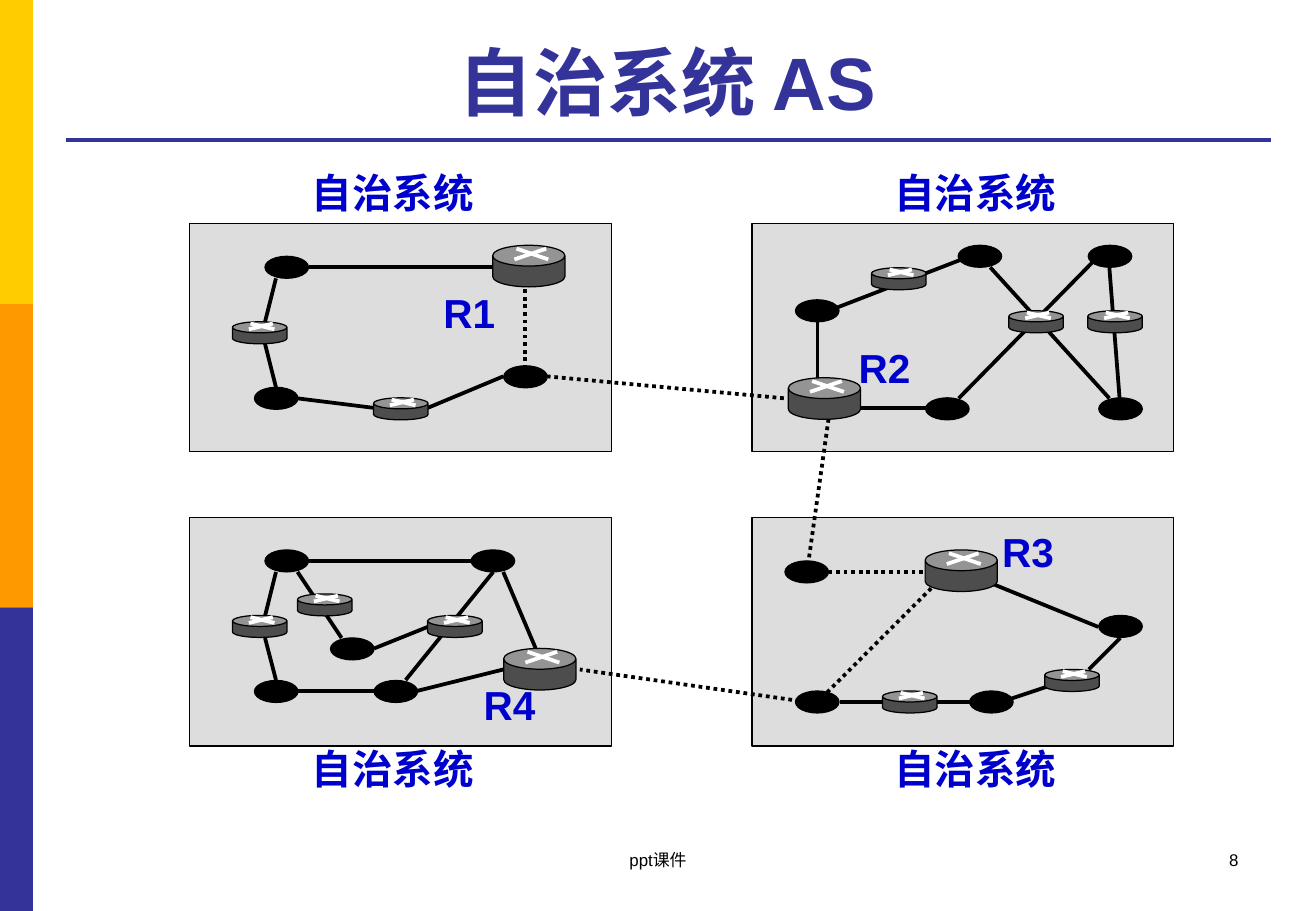
from lxml.etree import SubElement
from pptx import Presentation
from pptx.dml.color import RGBColor
from pptx.enum.dml import MSO_LINE
from pptx.enum.shapes import MSO_CONNECTOR, MSO_SHAPE
from pptx.enum.text import MSO_ANCHOR, PP_ALIGN
from pptx.oxml.ns import qn
from pptx.util import Cm, Pt

COLORS = {
    "yellow": "FFCC00", "orange": "FF9900", "indigo": "333399",
    "system": "DDDDDD", "router": "4D4D4D", "label": "0000CC",
    "black": "000000", "white": "FFFFFF",
}
TEXT_FORMATS = {
    "title": {"size": Pt(44), "bold": True, "name": "Arial"},
    "label": {"size": Pt(24), "bold": True, "name": "Arial"},
    "footer": {"size": Pt(10), "bold": False, "name": "Arial"},
}

presentation = Presentation()
presentation.slide_width, presentation.slide_height = Cm(27.51), Cm(19.05)
slide = presentation.slides.add_slide(presentation.slide_layouts[6])


def add_filled_shape(kind, left, top, width, height, fill, outlined=True):
    shape = slide.shapes.add_shape(kind, Cm(left), Cm(top), Cm(width), Cm(height))
    shape.shadow.inherit = False
    shape.fill.solid()
    shape.fill.fore_color.rgb = RGBColor.from_string(COLORS[fill])
    if outlined:
        shape.line.color.rgb = RGBColor.from_string(COLORS["black"])
        shape.line.width = Pt(0.75)
    else:
        shape.line.fill.background()
    return shape


def add_line(x1, y1, x2, y2, color="black", dash=None):
    connector = slide.shapes.add_connector(
        MSO_CONNECTOR.STRAIGHT, Cm(x1), Cm(y1), Cm(x2), Cm(y2))
    connector.line.color.rgb = RGBColor.from_string(COLORS[color])
    connector.line.width = Pt(2.25)
    if dash:
        connector.line.dash_style = dash
    SubElement(connector._element.spPr, qn("a:effectLst"))


# Side bar and title rule
for index, color in enumerate(["yellow", "orange", "indigo"]):
    add_filled_shape(MSO_SHAPE.RECTANGLE, 0, index * 6.35, 0.69, 6.35, color, outlined=False)
add_line(1.37, 2.92, 26.57, 2.92, "indigo")

# Autonomous systems
for left in (3.96, 15.72):
    for top in (4.67, 10.82):
        add_filled_shape(MSO_SHAPE.RECTANGLE, left, top, 8.82, 4.78, "system")

# Links, one group of rows per system
solid_links = [
    (6.45, 5.59, 10.31, 5.59), (5.77, 5.82, 5.54, 6.73), (5.54, 7.19, 5.77, 8.1),
    (6.22, 8.33, 7.82, 8.53), (8.94, 8.53, 10.52, 7.87),

    (20.7, 5.59, 23.19, 8.33), (20.27, 5.36, 17.32, 6.5), (23.19, 5.59, 23.42, 8.53),
    (17.98, 8.53, 19.58, 8.53), (20.04, 8.33, 22.96, 5.36), (17.09, 6.73, 17.09, 8.1),

    (17.55, 14.68, 20.27, 14.68), (20.93, 14.68, 22.3, 14.22),
    (22.76, 14, 23.42, 13.34), (20.7, 12.19, 22.96, 13.11),

    (6.45, 11.73, 10.31, 11.73), (5.77, 11.96, 5.54, 12.88), (5.54, 13.34, 5.77, 14.22),
    (6.22, 14.45, 7.82, 14.45), (8.71, 14.45, 10.52, 14), (6.22, 11.96, 7.14, 13.34),
    (7.82, 13.56, 8.94, 13.11), (10.31, 11.96, 8.48, 14.22), (10.52, 11.96, 11.2, 13.56),
]
dotted_links = [
    (10.97, 6.05, 10.97, 7.65), (11.43, 7.87, 16.41, 8.33), (17.32, 8.76, 16.87, 11.96),
    (17.32, 11.96, 19.35, 11.96), (19.58, 12.19, 17.09, 14.68), (16.87, 14.68, 12.12, 14),
]
for link in solid_links:
    add_line(*link)
for link in dotted_links:
    add_line(*link, dash=MSO_LINE.ROUND_DOT)

# Networks
networks = [
    (5.54, 5.36), (5.32, 8.1), (10.53, 7.65),
    (16.63, 6.27), (19.35, 8.32), (22.97, 8.32), (20.03, 5.13), (22.75, 5.13),
    (16.41, 11.73), (16.63, 14.45), (22.97, 12.87), (20.27, 14.45),
    (5.54, 11.5), (5.32, 14.23), (9.85, 11.5), (6.91, 13.34), (7.82, 14.23),
]
for left, top in networks:
    add_filled_shape(MSO_SHAPE.OVAL, left, top, 0.91, 0.46, "black")

# Routers, each with a white cross on its lid
inner_routers = [
    (4.86, 6.73), (7.81, 8.32), (21.09, 6.5), (18.22, 5.6), (22.74, 6.5),
    (18.45, 14.45), (21.84, 14), (4.86, 12.87), (6.22, 12.42), (8.94, 12.87),
]
border_routers = [(10.3, 5.13), (16.48, 7.9), (19.34, 11.5), (10.53, 13.56)]
for routers, width, height in [(inner_routers, 1.14, 0.46), (border_routers, 1.51, 0.87)]:
    for left, top in routers:
        router = add_filled_shape(MSO_SHAPE.CAN, left, top, width, height, "router")
        router.adjustments[0] = 0.5
        for start, end in [(0.33, 0.77), (0.74, 0.3)]:
            add_line(left + start * width, top + 0.08 * height,
                     left + end * width, top + 0.34 * height, "white")

# Texts: wording, left, top, width, height, format, color, alignment
texts = [
    ("自治系统 AS", 1.37, 0.53, 25.17, 2.21, "title", "indigo", PP_ALIGN.CENTER),
    ("R1", 9.02, 5.89, 1.6, 1.3, "label", "label", PP_ALIGN.LEFT),
    ("R2", 17.7, 7.04, 1.6, 1.3, "label", "label", PP_ALIGN.LEFT),
    ("R3", 20.7, 10.9, 1.6, 1.3, "label", "label", PP_ALIGN.LEFT),
    ("R4", 9.86, 14.1, 1.6, 1.3, "label", "label", PP_ALIGN.LEFT),
    ("ppt课件", 9.4, 17.65, 8.71, 1.27, "footer", "black", PP_ALIGN.CENTER),
    ("8", 19.71, 17.65, 6.43, 1.27, "footer", "black", PP_ALIGN.RIGHT),
]
for left in (6.27, 18.44):
    for top in (3.38, 15.44):
        texts.append(("自治系统", left, top, 3.96, 1.3, "label", "label", PP_ALIGN.LEFT))

for wording, left, top, width, height, style, color, alignment in texts:
    text_box = slide.shapes.add_textbox(Cm(left), Cm(top), Cm(width), Cm(height))
    frame = text_box.text_frame
    frame.word_wrap = style != "label"
    frame.vertical_anchor = MSO_ANCHOR.BOTTOM if style == "title" else MSO_ANCHOR.TOP
    paragraph = frame.paragraphs[0]
    paragraph.alignment = alignment
    run = paragraph.add_run()
    run.text = wording
    for attribute, value in TEXT_FORMATS[style].items():
        setattr(run.font, attribute, value)
    run.font.color.rgb = RGBColor.from_string(COLORS[color])

presentation.save("out.pptx")
